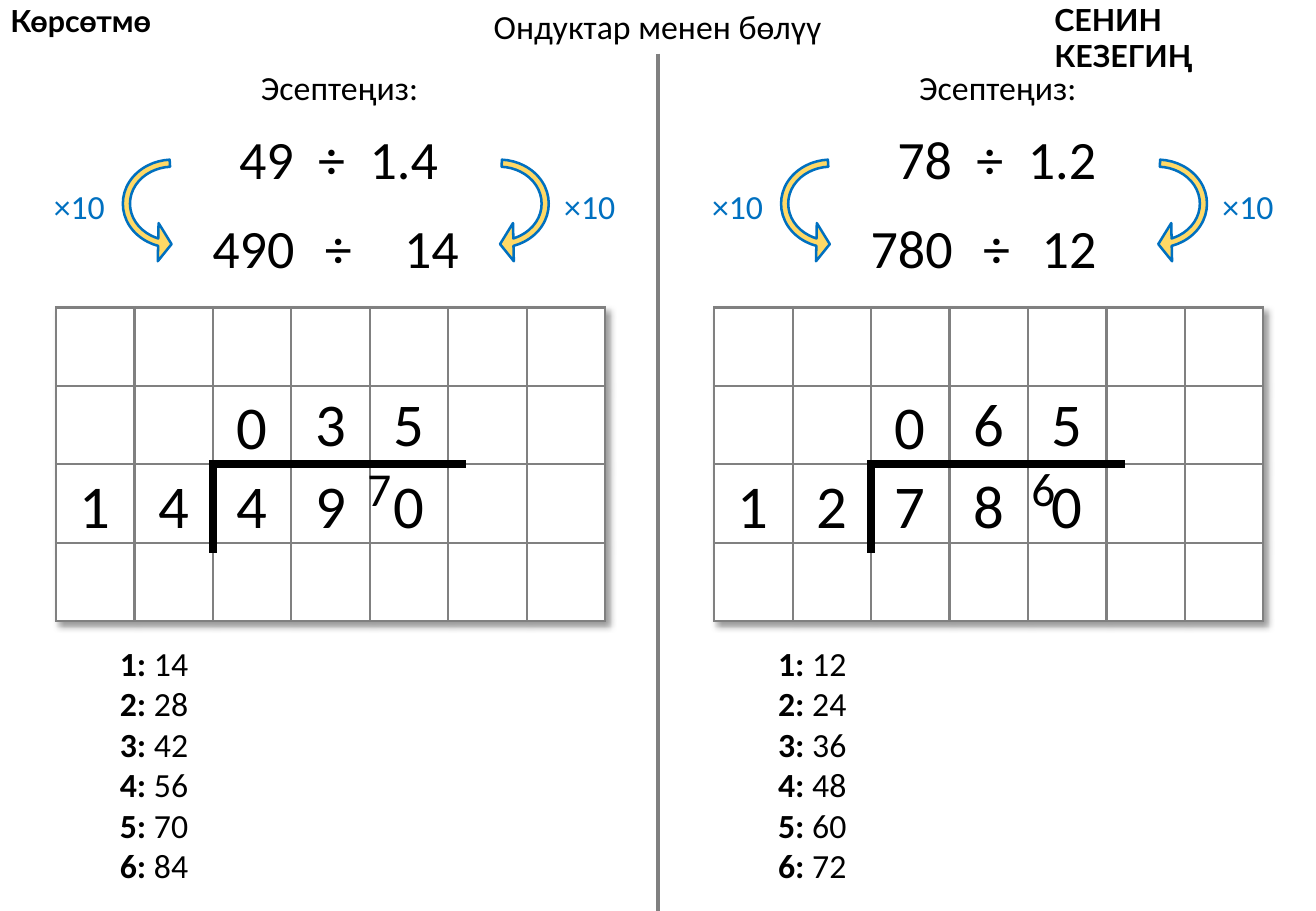
"""Build a worksheet slide on dividing by decimals."""
from dataclasses import dataclass

from lxml import etree
from pptx import Presentation
from pptx.dml.color import RGBColor
from pptx.enum.shapes import MSO_CONNECTOR, MSO_SHAPE
from pptx.enum.text import PP_ALIGN
from pptx.oxml import parse_xml
from pptx.oxml.ns import qn
from pptx.util import Cm, Pt

LINE = MSO_CONNECTOR.STRAIGHT
ARROW = MSO_SHAPE.CIRCULAR_ARROW
LEFT, CENTER = PP_ALIGN.LEFT, PP_ALIGN.CENTER
NS = 'xmlns:a="http://schemas.openxmlformats.org/drawingml/2006/main"'
SHADOW = (f'<a:effectLst {NS}><a:outerShdw blurRad="50800" dist="38100" '
          'dir="2700000" algn="tl" rotWithShape="0"><a:prstClr val="black">'
          '<a:alpha val="40000"/></a:prstClr></a:outerShdw></a:effectLst>')
BEND = (0.06, 11.42, 203.85, 110.16, 0.16)
GRID_X, GRID_Y, CELL = 1.17, 6.43, 1.64
ROWS, COLS = 4, 7


@dataclass(frozen=True)
class Theme:
    """Hold the colours, fonts and type sizes."""
    ink: str = "000000"
    paper: str = "FFFFFF"
    rule: str = "808080"
    blue: str = "0070C0"
    gold: str = "FFD966"
    body: str = "Calibri"
    label: str = "Lato"
    tag: int = 18
    text: int = 20
    carry: int = 28
    sum: int = 32
    digit: int = 36


@dataclass(frozen=True)
class Task:
    """Hold one division with its layout details."""
    left: float
    sum: str
    whole: str
    by: str
    by_x: float
    answer: str
    carry: str
    carry_x: float


THEME = Theme()
TASKS = (
    Task(0, "49  ÷  1.4", "490", "14", 8.18, "035", "7", 7.42),
    Task(13.76, "78  ÷  1.2", "780", "12", 7.75, "065", "6", 7.54),
)


def color(code):
    """Return the colour for a hex code."""
    return RGBColor.from_string(code)


def style(para, size, ink=THEME.ink, face=THEME.body, bold=None, align=CENTER):
    """Set the font and alignment of a paragraph."""
    para.alignment = align
    font = para.font
    font.name, font.size, font.bold = face, Pt(size), bold
    font.color.rgb = color(ink)


def add_box(slide, x, y, w, h, wrap=False):
    """Add an empty text box and return its frame."""
    frame = slide.shapes.add_textbox(Cm(x), Cm(y), Cm(w), Cm(h)).text_frame
    frame.word_wrap = wrap
    return frame


def add_text(slide, text, x, y, w, h, size, wrap=False, **look):
    """Add one line of text."""
    para = add_box(slide, x, y, w, h, wrap).paragraphs[0]
    para.text = text
    style(para, size, **look)


def add_line(slide, x1, y1, x2, y2, ink, width):
    """Add a straight line without a shadow."""
    line = slide.shapes.add_connector(LINE, Cm(x1), Cm(y1), Cm(x2), Cm(y2))
    line.line.color.rgb = color(ink)
    line.line.width = Pt(width)
    etree.SubElement(line.element.spPr, qn("a:effectLst"))


def add_arrow(slide, x, flip):
    """Add a curved arrow that points down, mirrored if asked."""
    arrow = slide.shapes.add_shape(ARROW, Cm(x), Cm(2.9), Cm(2.49), Cm(2.72))
    arrow.shadow.inherit = False
    arrow.rotation = 90
    if flip:
        arrow.element.spPr.find(qn("a:xfrm")).set("flipV", "1")
    for i, bend in enumerate(BEND):
        arrow.adjustments[i] = bend
    arrow.fill.solid()
    arrow.fill.fore_color.rgb = color(THEME.gold)
    arrow.line.color.rgb = color(THEME.blue)
    arrow.line.width = Pt(1.5)


def add_grid(slide, left):
    """Add the squared grid with its shadow."""
    table = slide.shapes.add_table(
        ROWS, COLS, Cm(left + GRID_X), Cm(GRID_Y),
        Cm(CELL * COLS), Cm(CELL * ROWS)).table
    table.first_row = table.horz_banding = False
    for col in table.columns:
        col.width = Cm(CELL)
    for row in table.rows:
        row.height = Cm(CELL)
    for cell in table.iter_cells():
        cell.fill.solid()
        cell.fill.fore_color.rgb = color(THEME.paper)
        props = cell._tc.get_or_add_tcPr()
        for i, side in enumerate("LRTB"):
            props.insert(i, parse_xml(
                f'<a:ln{side} {NS} w="{Pt(1.5)}"><a:solidFill><a:srgbClr '
                f'val="{THEME.rule}"/></a:solidFill></a:ln{side}>'))
    table._tbl.tblPr.insert(0, parse_xml(SHADOW))


def add_digits(slide, left, text, start, y):
    """Centre each digit in its own grid column."""
    for col, digit in enumerate(text, start):
        x = left + GRID_X + CELL * (col + 0.5) - 0.59
        add_text(slide, digit, x, y, 1.18, 1.8, THEME.digit)


def add_facts(slide, left, base):
    """List the first six multiples of the divisor."""
    frame = add_box(slide, left + 2.24, 13.31, 1.96, 5.38)
    for n in range(1, 7):
        para = frame.paragraphs[0] if n == 1 else frame.add_paragraph()
        for text, bold in ((f"{n}:", True), (f" {n * base}", False)):
            run = para.add_run()
            run.text, run.font.bold = text, bold
        style(para, THEME.text)


def add_task(slide, task):
    """Draw one worked division."""
    left = task.left
    add_grid(slide, left)
    add_line(slide, left + 4.37, 9.7, left + 9.75, 9.7, THEME.ink, 4.5)
    add_line(slide, left + 4.45, 9.68, left + 4.45, 11.56, THEME.ink, 4.5)
    add_text(slide, "Эсептеңиз:", left + 5.18, 1.27, 3.84, 1.12, THEME.text)
    add_text(slide, task.sum, left + 4.72, 2.51, 4.72, 1.63, THEME.sum)
    for text, x, w in ((task.whole, 4.17, 2.26), ("÷", 6.53, 1.09),
                       (task.by, task.by_x, 1.68)):
        add_text(slide, text, left + x, 4.37, w, 1.63, THEME.sum)
    for x, label_x, flip in ((2.36, 0.86, True), (9.19, 11.53, False)):
        add_arrow(slide, left + x, flip)
        add_text(slide, "×10", left + label_x, 3.76, 1.6, 1.12, THEME.text,
                 ink=THEME.blue)
    add_digits(slide, left, task.answer[0], 2, 8)
    add_digits(slide, left, task.answer[1:], 3, 7.95)
    add_digits(slide, left, task.by + task.whole, 0, 9.65)
    add_text(slide, task.carry, left + task.carry_x, 9.47, 1.02, 1.45,
             THEME.carry)
    add_facts(slide, left, int(task.by))


def main():
    """Build and save the slide."""
    deck = Presentation()
    deck.slide_width, deck.slide_height = Cm(27.51), Cm(19.05)
    slide = deck.slides.add_slide(deck.slide_layouts[6])
    add_line(slide, 13.75, 1.12, 13.75, 19.05, THEME.rule, 2.25)
    add_text(slide, "Ондуктар менен бөлүү", 10.03, 0, 7.44, 1.12, THEME.text)
    tag = {"face": THEME.label, "bold": True, "align": LEFT}
    add_text(slide, "Көрсөтмө", -0.03, -0.08, 3.51, 1.02, THEME.tag, **tag)
    for task in TASKS:
        add_task(slide, task)
    add_text(slide, "СЕНИН КЕЗЕГИҢ", 21.79, -0.1, 5.4, 1.02, THEME.tag,
             wrap=True, **tag)
    deck.save("out.pptx")


if __name__ == "__main__":
    main()
